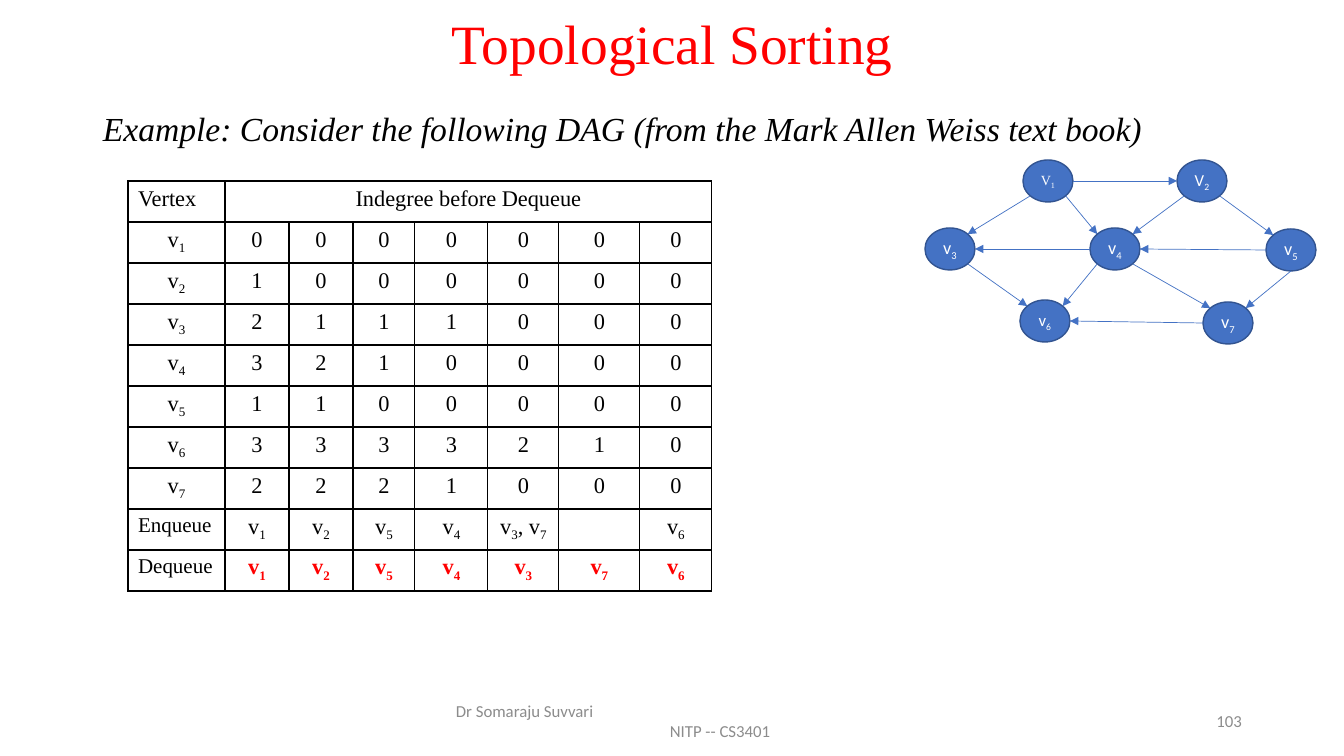
import math

import pptx
import pptx.dml.color
import pptx.enum.shapes
import pptx.enum.text
import pptx.oxml.ns
import pptx.util
from lxml import etree

# Content: an underscore puts the next character in subscript
TITLE = "Topological Sorting"
EXAMPLE = "Example: Consider the following DAG (from the Mark Allen Weiss text book)"
AUTHOR, COURSE, PAGE = "Dr Somaraju Suvvari", "NITP -- CS3401", "103"
TABLE_ROWS = [
    ["Vertex", "Indegree before Dequeue", "", "", "", "", "", ""],
    ["v_1", "0", "0", "0", "0", "0", "0", "0"],
    ["v_2", "1", "0", "0", "0", "0", "0", "0"],
    ["v_3", "2", "1", "1", "1", "0", "0", "0"],
    ["v_4", "3", "2", "1", "0", "0", "0", "0"],
    ["v_5", "1", "1", "0", "0", "0", "0", "0"],
    ["v_6", "3", "3", "3", "3", "2", "1", "0"],
    ["v_7", "2", "2", "2", "1", "0", "0", "0"],
    ["Enqueue", "v_1", "v_2", "v_5", "v_4", "v_3, v_7", "", "v_6"],
    ["Dequeue", "v_1", "v_2", "v_5", "v_4", "v_3", "v_7", "v_6"],
]
COLUMN_WIDTHS = [97, 64, 64, 62, 73, 71, 81, 72]
ROW_HEIGHT = 41
SERIF, SANS = "Times New Roman", "Calibri"
# Vertex: left, top, label, font, size
VERTICES = {
    1: (1023, 160, "V_1", SERIF, 10),
    2: (1177, 160, "V_2", SANS, 12),
    5: (1266, 229, "v_5", SANS, 13),
    3: (925, 228, "v_3", SANS, 13),
    4: (1090, 228, "v_4", SANS, 13),
    6: (1020, 300, "v_6", SANS, 12),
    7: (1203, 302, "v_7", SANS, 13),
}
VERTEX_WIDTH, VERTEX_HEIGHT = 50, 42
# Edge: from vertex, angle on its rim, to vertex, angle (clockwise from right)
EDGES = [
    (1, 0, 2, 180), (1, 45, 4, 225), (2, 135, 4, 315), (1, 135, 3, 315),
    (3, 45, 6, 225), (4, 135, 6, 315), (4, 45, 7, 225), (7, 180, 6, 0),
    (5, 180, 4, 0), (2, 45, 5, 225), (5, 90, 7, 315), (4, 180, 3, 0),
]

RED = pptx.dml.color.RGBColor(0xFF, 0x00, 0x00)
BLACK = pptx.dml.color.RGBColor(0x00, 0x00, 0x00)
WHITE = pptx.dml.color.RGBColor(0xFF, 0xFF, 0xFF)
GRAY = pptx.dml.color.RGBColor(0x8C, 0x8C, 0x8C)
BLUE = pptx.dml.color.RGBColor(0x44, 0x72, 0xC4)
DARK_BLUE = pptx.dml.color.RGBColor(0x32, 0x54, 0x91)
LEFT, CENTER, RIGHT = (pptx.enum.text.PP_ALIGN.LEFT, pptx.enum.text.PP_ALIGN.CENTER,
                       pptx.enum.text.PP_ALIGN.RIGHT)
MIDDLE = pptx.enum.text.MSO_ANCHOR.MIDDLE


def px(length):
    return pptx.util.Emu(round(length * 914400 / 100.8))


def add_run(paragraph, text, size, font, color, bold=False, italic=False):
    run = paragraph.add_run()
    run.text = text
    run.font.size = pptx.util.Pt(size)
    run.font.name = font
    run.font.color.rgb = color
    run.font.bold = bold
    run.font.italic = italic
    return run


def write(paragraph, text, align, *style, **flags):
    paragraph.alignment = align
    first, *rest = text.split("_")
    if first:
        add_run(paragraph, first, *style, **flags)
    for part in rest:
        subscript = add_run(paragraph, part[0], *style, **flags)
        subscript.font._element.set("baseline", "-25000")
        if part[1:]:
            add_run(paragraph, part[1:], *style, **flags)


def add_box(slide, left, top, width, height):
    frame = slide.shapes.add_textbox(px(left), px(top), px(width), px(height)).text_frame
    frame.word_wrap = True
    return frame


def add_borders(cell):
    properties = cell._tc.get_or_add_tcPr()
    for side in ("a:lnL", "a:lnR", "a:lnT", "a:lnB"):
        line = etree.SubElement(properties, pptx.oxml.ns.qn(side), w="12700")
        fill = etree.SubElement(line, pptx.oxml.ns.qn("a:solidFill"))
        etree.SubElement(fill, pptx.oxml.ns.qn("a:srgbClr"), val=str(BLACK))


def add_indegree_table(slide):
    table = slide.shapes.add_table(
        len(TABLE_ROWS), len(COLUMN_WIDTHS), px(128), px(181),
        px(sum(COLUMN_WIDTHS)), px(ROW_HEIGHT * len(TABLE_ROWS))).table
    table.first_row = table.horz_banding = False
    for column, width in zip(table.columns, COLUMN_WIDTHS):
        column.width = px(width)
    for row_index, texts in enumerate(TABLE_ROWS):
        table.rows[row_index].height = px(ROW_HEIGHT)
        for column_index, text in enumerate(texts):
            cell = table.cell(row_index, column_index)
            add_borders(cell)
            cell.fill.background()
            is_word = column_index == 0 and "_" not in text
            dequeued = texts[0] == "Dequeue" and column_index > 0
            write(cell.text_frame.paragraphs[0], text, LEFT if is_word else CENTER,
                  15 if is_word and row_index else 16, SERIF,
                  RED if dequeued else BLACK, bold=dequeued)
    table.cell(0, 1).merge(table.cell(0, len(COLUMN_WIDTHS) - 1))


def rim_point(vertex, angle):
    left, top = VERTICES[vertex][:2]
    turn = math.radians(angle)
    return (px(left + VERTEX_WIDTH / 2 * (1 + math.cos(turn))),
            px(top + VERTEX_HEIGHT / 2 * (1 + math.sin(turn))))


def add_graph(slide):
    for left, top, label, font, size in VERTICES.values():
        shape = slide.shapes.add_shape(
            pptx.enum.shapes.MSO_SHAPE.OVAL,
            px(left), px(top), px(VERTEX_WIDTH), px(VERTEX_HEIGHT))
        shape.shadow.inherit = False
        shape.fill.solid()
        shape.fill.fore_color.rgb = BLUE
        shape.line.color.rgb = DARK_BLUE
        shape.line.width = pptx.util.Pt(1)
        frame = shape.text_frame
        frame.word_wrap = False
        frame.vertical_anchor = MIDDLE
        frame.margin_left = frame.margin_right = 0
        write(frame.paragraphs[0], label, CENTER, size, font, WHITE)
    for start, start_angle, end, end_angle in EDGES:
        edge = slide.shapes.add_connector(
            pptx.enum.shapes.MSO_CONNECTOR.STRAIGHT,
            *rim_point(start, start_angle), *rim_point(end, end_angle))
        edge.line.color.rgb = BLUE
        edge.line.width = pptx.util.Pt(0.5)
        etree.SubElement(edge.line._get_or_add_ln(), pptx.oxml.ns.qn("a:tailEnd"),
                         type="triangle")
        etree.SubElement(edge._element.spPr, pptx.oxml.ns.qn("a:effectLst"))


def main():
    presentation = pptx.Presentation()
    presentation.slide_width, presentation.slide_height = px(1344), px(756)
    slide = presentation.slides.add_slide(presentation.slide_layouts[5])

    # Title
    title = slide.shapes.title
    title.left, title.top, title.width, title.height = px(93), px(20), px(1159), px(54)
    title.text_frame.auto_size = pptx.enum.text.MSO_AUTO_SIZE.NONE
    title.text_frame.vertical_anchor = MIDDLE
    heading = title.text_frame.paragraphs[0]
    heading.line_spacing = 0.9
    write(heading, TITLE, CENTER, 39.6, SERIF, RED)

    # Example sentence
    example = add_box(slide, 93, 75, 1224, 80).paragraphs[0]
    example.line_spacing = 1.7
    write(example, EXAMPLE, LEFT, 24, SERIF, BLACK, italic=True)

    # Table and graph
    add_indegree_table(slide)
    add_graph(slide)

    # Footer: the course sits indented under the author
    footer = add_box(slide, 446, 701, 454, 40)
    footer.vertical_anchor = MIDDLE
    write(footer.paragraphs[0], AUTHOR, LEFT, 12, SANS, GRAY)
    course = footer.add_paragraph()
    course._p.get_or_add_pPr().set("marL", str(px(214)))
    write(course, COURSE, LEFT, 12, SANS, GRAY)
    number = add_box(slide, 950, 701, 302, 40)
    number.vertical_anchor = MIDDLE
    write(number.paragraphs[0], PAGE, RIGHT, 12, SANS, GRAY)

    presentation.save("out.pptx")


if __name__ == "__main__":
    main()
